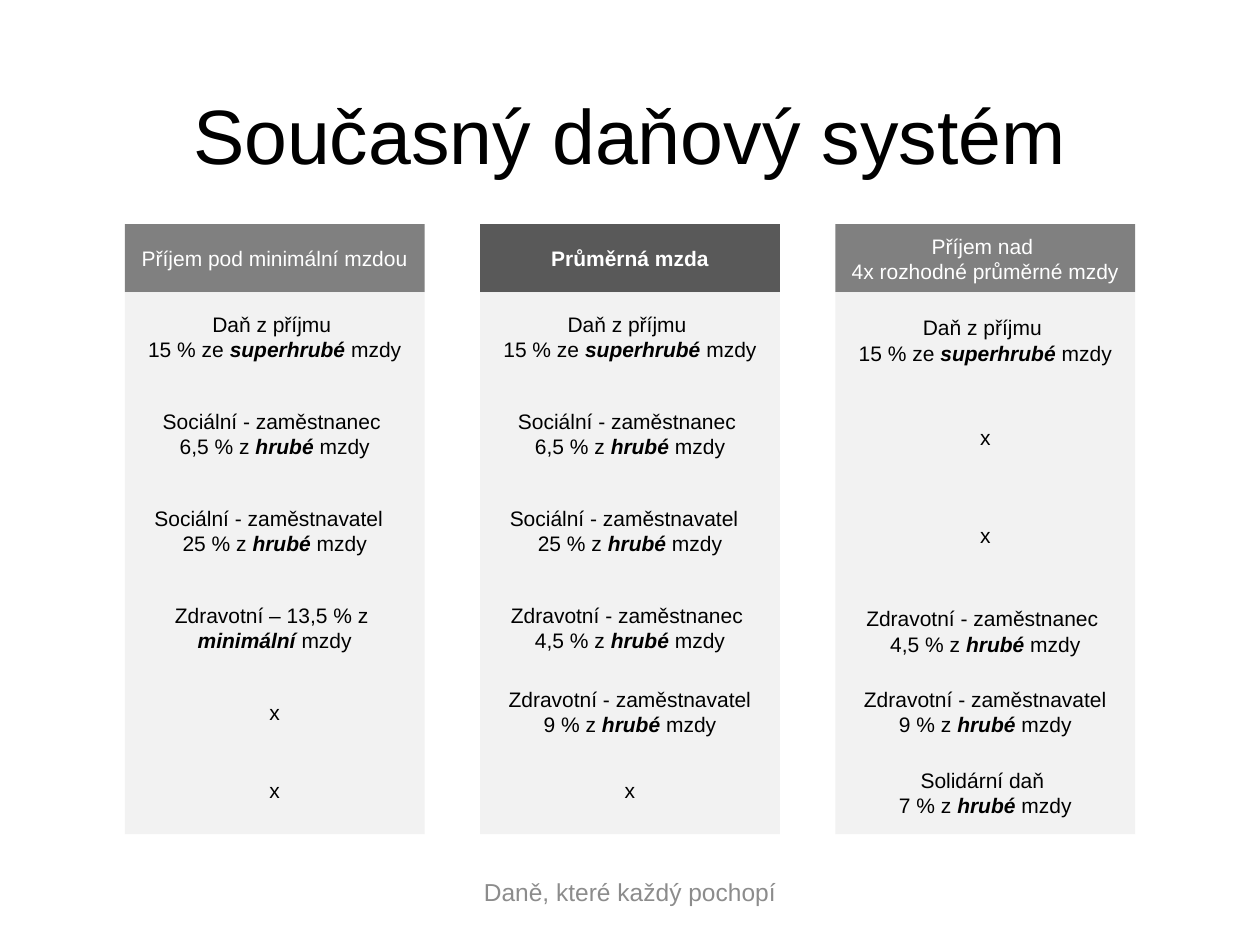
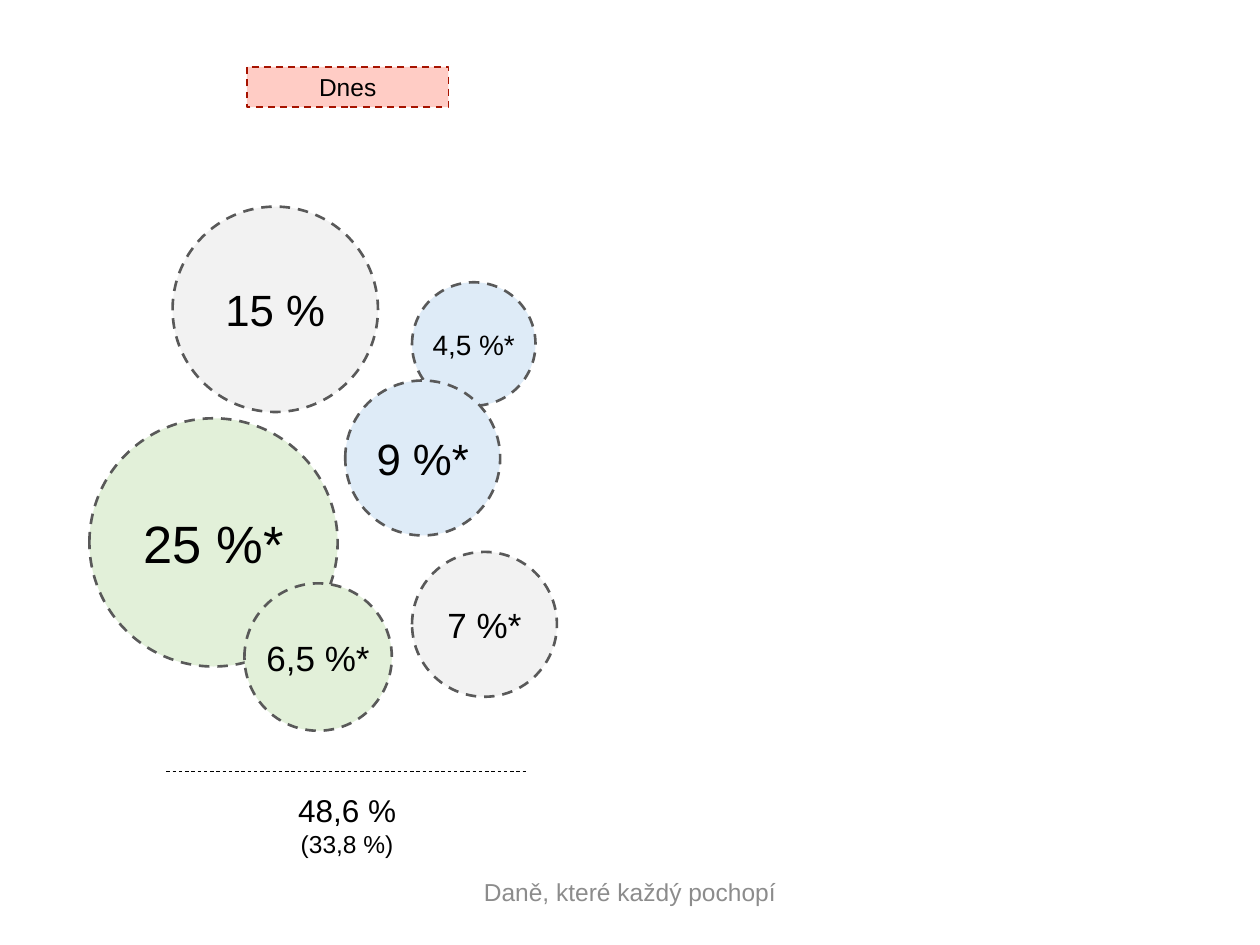
from dataclasses import dataclass

from lxml import etree
from pptx import Presentation
from pptx import util as u
from pptx.dml.color import RGBColor
from pptx.enum import dml, shapes, text
from pptx.oxml import ns

HUES = {
    "black": "000000", "white": "FFFFFF", "muted": "8C8C8C",
    "head": "808080", "dark": "595959", "pale": "F2F2F2",
    "green": "E2F0D9", "blue": "DEEBF7", "pink": "FFCCC5", "red": "A61300",
}
FONT = "Arial"
TOP, MID, LOW = text.MSO_ANCHOR.TOP, text.MSO_ANCHOR.MIDDLE, text.MSO_ANCHOR.BOTTOM
RECT, OVAL = shapes.MSO_SHAPE.RECTANGLE, shapes.MSO_SHAPE.OVAL
LEFT, STEP, WIDE, PAD = 0.99, 2.82, 2.38, 0.05
HEAD_TOP, HEAD_HIGH, BODY_HIGH = 1.78, 0.54, 4.3


@dataclass
class Entry:
    words: str
    top: float
    high: float = 0.5
    anchor: text.MSO_ANCHOR = TOP


@dataclass
class Column:
    head: str
    entries: list[Entry]
    fill: str = "head"
    bold: bool = False


@dataclass
class Bubble:
    words: str
    left: float
    top: float
    size: float
    fill: str
    points: int


TAX = "Daň z příjmu \n15 % ze _superhrubé_ mzdy"
HEALTH = "Zdravotní - zaměstnanec \n4,5 % z _hrubé_ mzdy"
SOCIAL = [
    Entry(TAX, 2.47),
    Entry("Sociální - zaměstnanec \n6,5 % z _hrubé _mzdy", 3.24),
    Entry("Sociální - zaměstnavatel  \n25 % z _hrubé_ mzdy", 4.01),
]
FIRM = Entry("Zdravotní - zaměstnavatel\n9 % z _hrubé_ mzdy", 5.45, 0.4, MID)
NONE = Entry("x", 6.17, 0.23)

COLUMNS = [
    Column("Příjem pod minimální mzdou", [
        *SOCIAL,
        Entry("Zdravotní – 13,5 % z \n_minimální _mzdy", 4.78),
        Entry("x", 5.55, 0.2, MID),
        NONE,
    ]),
    Column("Průměrná mzda", [*SOCIAL, Entry(HEALTH, 4.78), FIRM, NONE],
           "dark", True),
    Column("Příjem nad \n4x rozhodné průměrné mzdy", [
        Entry(TAX, 2.47, 0.46, MID),
        Entry("x", 3.22, 0.5, MID),
        Entry("x", 4, 0.5, MID),
        Entry(HEALTH, 4.78, 0.46, MID),
        FIRM,
        Entry("Solidární daň \n7 % z _hrubé_ mzdy", 6.09, 0.4, MID),
    ]),
]

BUBBLES = [
    Bubble("15 %", 1.37, 1.64, 1.63, "pale", 25),
    Bubble("25 %*", 0.71, 3.32, 1.97, "green", 30),
    Bubble("4,5 %*", 3.27, 2.24, 0.98, "blue", 16),
    Bubble("6,5 %*", 1.94, 4.63, 1.17, "green", 20),
    Bubble("9 %*", 2.74, 3.02, 1.23, "blue", 25),
    Bubble("7 %*", 3.27, 4.38, 1.15, "pale", 20),
]


def hue(name: str) -> RGBColor:
    return RGBColor.from_string(HUES[name])


def inches(*sizes: float) -> list[u.Length]:
    return [u.Inches(size) for size in sizes]


def write(shape, words: str, points: float, color: str = "black",
          bold: bool = False, anchor=MID, inset: tuple = (0, 0)) -> None:
    """Fill a shape with centred lines; _marked_ words are bold italic."""
    frame = shape.text_frame
    frame.word_wrap = True
    frame.vertical_anchor = anchor
    frame.margin_left = frame.margin_right = u.Inches(inset[0])
    frame.margin_top = frame.margin_bottom = u.Inches(inset[1])
    for row, line in enumerate(words.split("\n")):
        para = frame.add_paragraph() if row else frame.paragraphs[0]
        para.alignment = text.PP_ALIGN.CENTER
        for part, piece in enumerate(line.split("_")):
            if not piece:
                continue
            run = para.add_run()
            run.text = piece
            font = run.font
            font.name, font.size = FONT, u.Pt(points)
            font.color.rgb = hue(color)
            font.bold = bold or part % 2 == 1
            font.italic = part % 2 == 1


def dash(line, color: str, points: float) -> None:
    line.color.rgb = hue(color)
    line.width = u.Pt(points)
    line.dash_style = dml.MSO_LINE.DASH


def block(slide, kind, box: tuple, fill: str):
    shape = slide.shapes.add_shape(kind, *inches(*box))
    shape.shadow.inherit = False
    shape.fill.solid()
    shape.fill.fore_color.rgb = hue(fill)
    shape.line.fill.background()
    return shape


def label(slide, box: tuple, words: str, points: float, **style) -> None:
    write(slide.shapes.add_textbox(*inches(*box)), words, points, **style)


def start(deck, layout: int):
    """Add a slide with the shared footer."""
    slide = deck.slides.add_slide(deck.slide_layouts[layout])
    label(slide, (2.53, 6.88, 4.94, 0.4), "Daně, které každý pochopí", 14,
          color="muted", inset=(0.1, 0.05))
    return slide


def draw_column(slide, left: float, column: Column) -> None:
    head = block(slide, RECT, (left, HEAD_TOP, WIDE, HEAD_HIGH), column.fill)
    write(head, column.head, 12, "white", column.bold)
    block(slide, RECT, (left, HEAD_TOP + HEAD_HIGH, WIDE, BODY_HIGH), "pale")
    for entry in column.entries:
        box = (left + PAD, entry.top, WIDE - 2 * PAD, entry.high)
        label(slide, box, entry.words, 12, anchor=entry.anchor)


def draw_bubble(slide, bubble: Bubble) -> None:
    box = (bubble.left, bubble.top, bubble.size, bubble.size)
    shape = block(slide, OVAL, box, bubble.fill)
    dash(shape.line, "dark", 1.5)
    write(shape, bubble.words, bubble.points, inset=(0, 0.05))


def draw_system(deck) -> None:
    slide = start(deck, 5)
    title = slide.shapes.title
    title.left, title.top, title.width, title.height = inches(0.69, 0.4, 8.62, 1.09)
    write(title, "Současný daňový systém", 44, anchor=LOW, inset=(0.1, 0.05))
    title.text_frame.paragraphs[0].line_spacing = 0.9
    for spot, column in enumerate(COLUMNS):
        draw_column(slide, LEFT + spot * STEP, column)


def draw_today(deck) -> None:
    slide = start(deck, 6)
    for bubble in BUBBLES:
        draw_bubble(slide, bubble)

    today = block(slide, RECT, (1.96, 0.53, 1.6, 0.32), "pink")
    dash(today.line, "red", 1)
    write(today, "Dnes", 14, inset=(0.1, 0.05))

    total = slide.shapes.add_textbox(*inches(2.26, 6.23, 0.99, 0.64))
    write(total, "48,6 %\n(33,8 %)", 18, anchor=TOP, inset=(0.1, 0.05))
    total.text_frame.word_wrap = False
    total.text_frame.paragraphs[1].runs[0].font.size = u.Pt(14)

    rule = slide.shapes.add_connector(
        shapes.MSO_CONNECTOR.STRAIGHT, *inches(1.32, 6.12, 4.19, 6.12))
    dash(rule.line, "black", 0.5)
    etree.SubElement(rule._element.spPr, ns.qn("a:effectLst"))


def main() -> None:
    deck = Presentation()
    deck.slide_width, deck.slide_height = inches(10, 7.5)
    draw_system(deck)
    draw_today(deck)
    deck.save("out.pptx")


if __name__ == "__main__":
    main()
